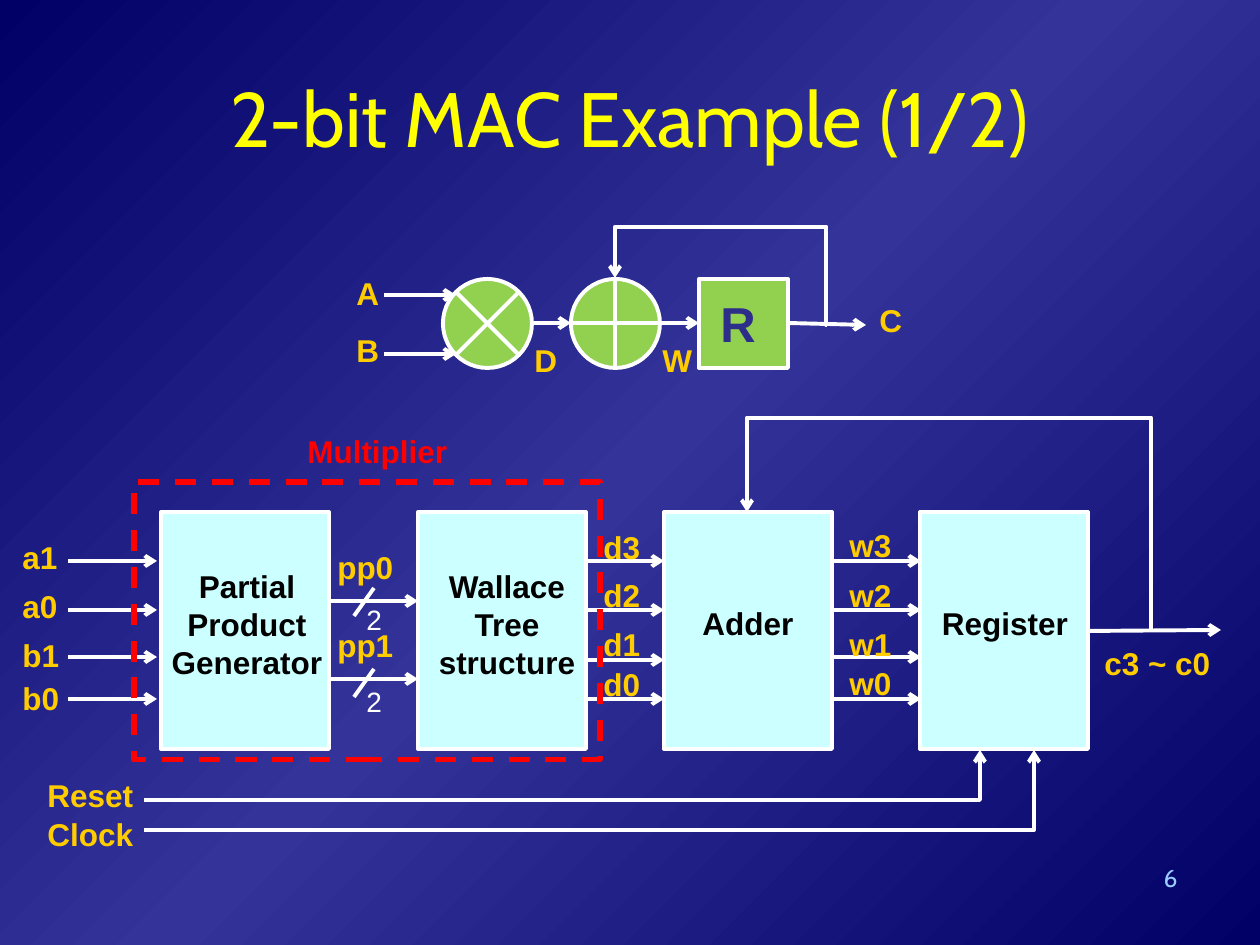
"""Build the 2-bit MAC example slide."""
import copy
import pptx
import pptx.util
import pptx.dml.color
import pptx.enum.dml
import pptx.enum.shapes
import pptx.enum.text
import pptx.oxml.ns
import pptx.oxml.xmlchemy

SCALE = 914400 // 126
KIND = pptx.enum.shapes.MSO_SHAPE
LINK = pptx.enum.shapes.MSO_CONNECTOR
ALIGN = pptx.enum.text.PP_ALIGN
ANCHOR = pptx.enum.text.MSO_ANCHOR
qn = pptx.oxml.ns.qn

THEME = {
    "back": [(0, "000066"), (0.5, "333399"), (1, "000066")],
    "gate": "92D050", "block": "CCFFFF", "wire": "FFFFFF", "frame": "FF0000",
    "thin": 2.25, "thick": 3,
    "text": {
        "title": ("FFFF00", {"size": 44, "name": "Cabin", "bold": False}),
        "page": ("99CCFF", {"size": 14, "name": "Cabin", "bold": False}),
        "label": ("FFCC00", {"size": 18, "name": "Arial", "bold": True}),
        "block": ("000000", {"size": 18, "name": "Arial", "bold": True}),
        "group": ("FF0000", {"size": 18, "name": "Arial", "bold": True}),
        "width": ("FFFFFF", {"size": 16, "name": "Arial", "bold": False}),
        "reg": ("2D2D8A", {"size": 28, "name": "Arial", "bold": True}),
    },
}

GATES = [(KIND.FLOWCHART_OR, 571), (KIND.FLOWCHART_SUMMING_JUNCTION, 443),
         (KIND.RECTANGLE, 699)]
GATE_TOP, GATE_SIZE = 279, 89
BLOCKS = [
    (161, "Partial Product Generator", 158, 561, 178),
    (418, "Wallace\nTree\nstructure", 423, 561, 168),
    (664, "Adder", 659, 598, 178),
    (920, "Register", 916, 598, 178),
]
BLOCK_TOP, BLOCK_WIDE, BLOCK_HIGH = 512, 168, 237
BUSES = [
    (68, 157, [561, 610, 657, 699], 10, 69,
     [("a1", 532), ("a0", 581), ("b1", 630), ("b0", 673)]),
    (329, 418, [601, 679], 325, 98, [("pp0", 542), ("pp1", 620)]),
    (586, 664, [561, 610, 660, 699], 591, 70,
     [("d3", 522), ("d2", 570), ("d1", 619), ("d0", 659)]),
    (832, 921, [561, 610, 657, 699], 837, 69,
     [("w3", 520), ("w2", 570), ("w1", 619), ("w0", 658)]),
]
WIRES = [(532, 323, 571, 323), (659, 323, 699, 323), (788, 323, 866, 325),
         (384, 295, 456, 295), (384, 354, 456, 354), (1090, 631, 1221, 630)]
LOOPS = [(615, 278, 827, 325, 300, 209100), (747, 512, 1152, 630, 200, 180000)]
RISES = [(144, 800, 980, 750), (144, 830, 1034, 750)]
SPLITS = [(616, 596), (697, 678)]
LABELS = [("A", 344, 268, 49), ("B", 344, 325, 49), ("D", 522, 335, 49),
          ("W", 650, 335, 49), ("C", 867, 295, 49), ("c3 ~ c0", 1092, 638, 147),
          ("Reset", 35, 770, 129), ("Clock", 35, 809, 129)]

deck = pptx.Presentation()
deck.slide_width, deck.slide_height = 1260 * SCALE, 945 * SCALE
slide = deck.slides.add_slide(deck.slide_layouts[6])
shapes = slide.shapes


def scale(*nums):
    return [n * SCALE for n in nums]


def tint(code):
    return pptx.dml.color.RGBColor.from_string(code)


def paint():
    fill = slide.background.fill
    fill.gradient()
    fill.gradient_angle = 315
    stops = slide.element.find(".//" + qn("a:gsLst"))
    stops.insert(1, copy.deepcopy(stops[0]))
    for stop, (spot, code) in zip(fill.gradient_stops, THEME["back"]):
        stop.position = spot
        stop.color.rgb = tint(code)


def write(text, box, style="label", align=ALIGN.LEFT, anchor=ANCHOR.TOP, wrap=True):
    note = shapes.add_textbox(*scale(*box))
    frame = note.text_frame
    frame.word_wrap, frame.vertical_anchor, frame.text = wrap, anchor, text
    code, form = THEME["text"][style]
    for para in frame.paragraphs:
        para.alignment = align
        for key, value in form.items():
            setattr(para.font, key, pptx.util.Pt(value) if key == "size" else value)
        para.font.color.rgb = tint(code)
    return note


def draw(kind, box, fill=None, edge="wire", weight="thin"):
    part = shapes.add_shape(kind, *scale(*box))
    part.shadow.inherit = False
    if fill:
        part.fill.solid()
        part.fill.fore_color.rgb = tint(THEME[fill])
    else:
        part.fill.background()
    part.line.color.rgb = tint(THEME[edge])
    part.line.width = pptx.util.Pt(THEME[weight])
    return part


def wire(ends, kind=LINK.STRAIGHT, arrow=True):
    link = shapes.add_connector(kind, *scale(*ends))
    link.line.color.rgb = tint(THEME["wire"])
    link.line.width = pptx.util.Pt(THEME["thin"])
    props = link._element.spPr
    if arrow:
        tail = props.find(qn("a:ln")).makeelement(qn("a:tailEnd"), {"type": "arrow"})
        props.find(qn("a:ln")).append(tail)
    props.append(props.makeelement(qn("a:effectLst"), {}))
    return props


def bend(props, kind, *rates):
    geom = props.find(qn("a:prstGeom"))
    geom.set("prst", kind)
    guides = geom.find(qn("a:avLst"))
    for num, rate in enumerate(rates, 1):
        guides.append(guides.makeelement(
            qn("a:gd"), {"name": f"adj{num}" if len(rates) > 1 else "adj1",
                         "fmla": f"val {rate}"}))


paint()
write("2-bit MAC Example (1/2)", (63, 38, 1134, 157), "title", ALIGN.CENTER, ANCHOR.MIDDLE)
write("6", (896, 857, 294, 65), "page", ALIGN.RIGHT)

for kind, left in GATES:
    draw(kind, (left, GATE_TOP, GATE_SIZE, GATE_SIZE), "gate")
write("R", (708, 287, 69, 72), "reg")

for left, text, edge, top, wide in BLOCKS:
    draw(KIND.RECTANGLE, (left, BLOCK_TOP, BLOCK_WIDE, BLOCK_HIGH), "block")
    write(text, (edge, top, wide, 127 if top == 561 else 50), "block", ALIGN.CENTER)

for ends in WIRES:
    wire(ends)
for *ends, near, far in LOOPS:
    props = wire(ends, LINK.ELBOW)
    props.find(qn("a:xfrm")).set("rot", "10800000")
    bend(props, "bentConnector4", near, far)
for ends in RISES:
    bend(wire(ends, LINK.ELBOW), "bentConnector3", 100000)

for start, stop, rows, left, wide, names in BUSES:
    for row in rows:
        wire((start, row, stop, row))
    for text, top in names:
        write(text, (left, top, wide, 50))
for base, top in SPLITS:
    wire((354, base, 374, base - 28), arrow=False)
    write("2", (354, top, 59, 47), "width")
for text, left, top, wide in LABELS:
    write(text, (left, top, wide, 50))

frame = draw(KIND.RECTANGLE, (134, 482, 466, 278), edge="frame", weight="thick")
frame.line.dash_style = pptx.enum.dml.MSO_LINE.DASH
write("Multiplier", (295, 426, 165, 50), "group", wrap=False)

deck.save("out.pptx")
